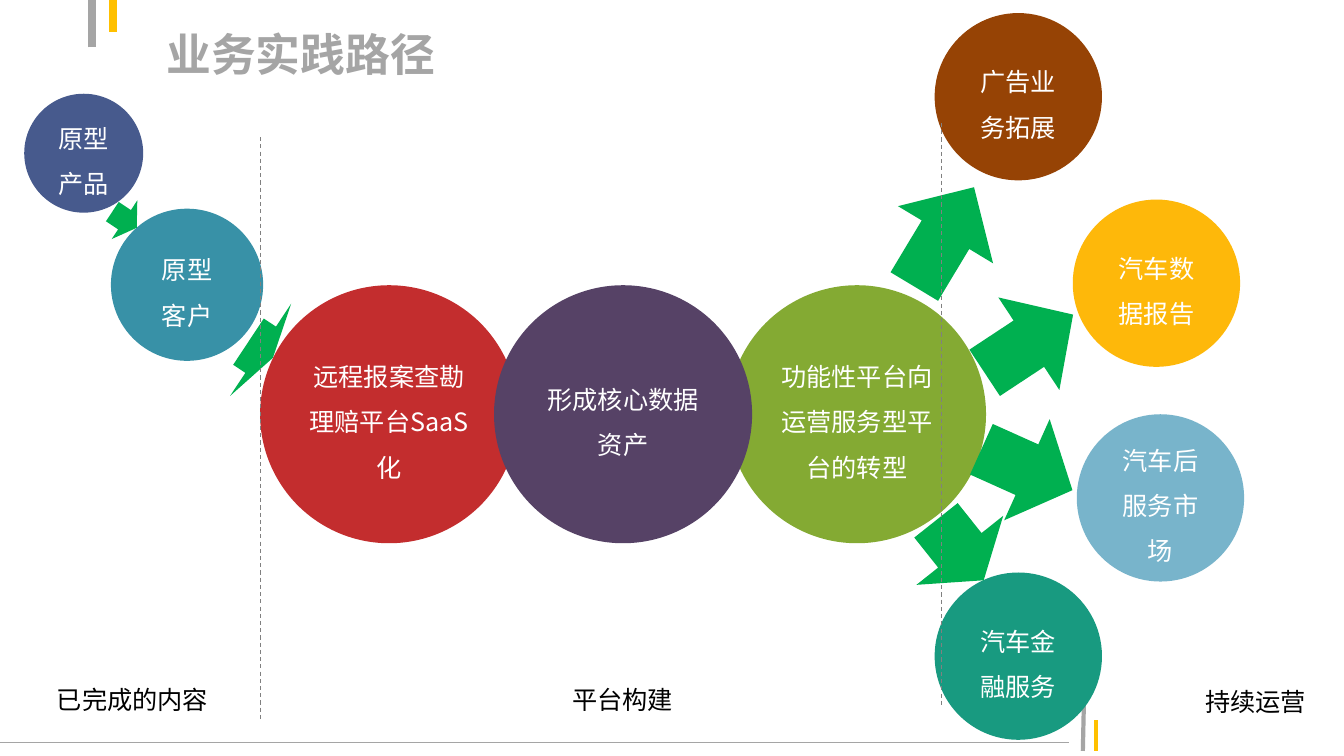
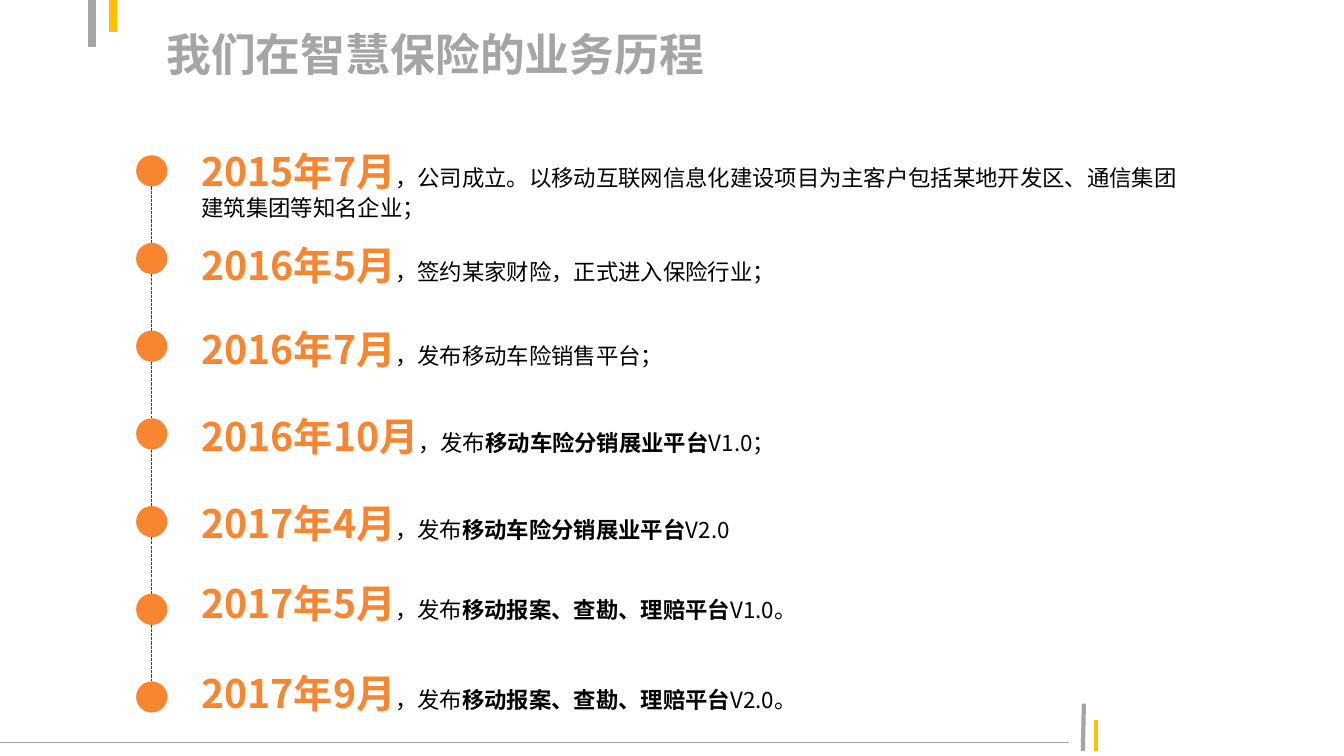
"""Builds two slides on a business path and its history."""
from pptx import Presentation
from pptx.dml.color import RGBColor
from pptx.enum.dml import MSO_LINE
from pptx.enum.shapes import MSO_CONNECTOR, MSO_SHAPE
from pptx.enum.text import MSO_ANCHOR, MSO_AUTO_SIZE, PP_ALIGN
from pptx.oxml.ns import qn
from pptx.util import Inches, Pt
from lxml.etree import SubElement

FONT = "Noto Sans CJK SC"
GREY, GOLD, WHITE, BLACK = "A5A5A5", "FFC000", "FFFFFF", "000000"
GREEN, ORANGE, DIVIDER, LINK = "00B050", "F88631", "808080", "404040"

FRAME_LINES = [
    ((0, 7.37), (10.6, 7.37), GREY, 0.75),
    ((10.74, 7.45), (10.75, 6.98), GREY, 3),
    ((10.87, 7.45), (10.87, 7.14), GOLD, 3),
    ((0.91, 0.47), (0.91, 0), GREY, 6),
    ((1.12, 0), (1.12, 0.32), GOLD, 6),
]

PATH_TITLE = "业务实践路径"
STAGE, OUTCOME = 2.56, 1.66
CIRCLES = [
    (["原型产品"], 0.24, 0.93, 1.18, "475A8D"),
    (["原型", "客户"], 1.1, 2.07, 1.51, "3891A7"),
    (["远程报案查勘理赔平台SaaS化"], 2.58, 2.83, STAGE, "C32D2E"),
    (["功能性平台向运营服务型平台的转型"], 7.22, 2.83, STAGE, "84AA33"),
    (["广告业务拓展"], 9.27, 0.13, OUTCOME, "964305"),
    (["汽车数据报告"], 10.64, 1.98, OUTCOME, "FEB80A"),
    (["汽车后服务市场"], 10.68, 4.11, OUTCOME, "78B4CB"),
    (["汽车金融服务"], 9.27, 5.68, OUTCOME, "189A80"),
    (["形成核心数据资产"], 4.9, 2.83, STAGE, "564266"),
]
ARROWS = [
    (2.44, 2.92, 0.29, 1.1, 33.5),
    (1.09, 1.95, 0.29, 0.46, 33.5),
    (8.79, 1.8, 1.15, 1.1, 301),
    (9.68, 2.86, 1.05, 1.1, 326.6),
    (9.69, 4.11, 0.99, 1.1, 24.2),
    (9.14, 4.91, 0.76, 1.1, 51.5),
]
DIVIDERS = [(2.58, 1.36), (9.34, 1.22)]
DIVIDER_LENGTH = 5.78
PHASES = [("已完成的内容", 0.45, 6.59), ("平台构建", 5.31, 6.59), ("持续运营", 11.59, 6.61)]

HISTORY_TITLE = "我们在智慧保险的业务历程"
EVENTS = [
    (1.41, 10, "2015年7月", "，公司成立。以移动互联网信息化建设项目为主客户包括某地开发区、通信集团建筑集团等知名企业；", "", ""),
    (2.34, 6.01, "2016年5月", "，签约某家财险，正式进入保险行业；", "", ""),
    (3.18, 5.04, "2016年7月", "，发布移动车险销售平台；", "", ""),
    (4.04, 5.94, "2016年10月", "，发布", "移动车险分销展业平台", "V1.0；"),
    (4.9, 5.58, "2017年4月", "，发布", "移动车险分销展业平台", "V2.0"),
    (5.7, 6.26, "2017年5月", "，发布", "移动报案、查勘、理赔平台", "V1.0。"),
    (6.59, 6.26, "2017年9月", "，发布", "移动报案、查勘、理赔平台", "V2.0。"),
]
DOT, DOT_LEFT, DOT_TOP, DOT_PITCH = 0.31, 1.35, 1.54, 0.87


def colour(value):
    return RGBColor.from_string(value)


def add_span(para, text, size, value, bold=False):
    span = para.add_run()
    span.text = text
    font = span.font
    font.name, font.size, font.bold = FONT, Pt(size), bold
    font.color.rgb = colour(value)
    SubElement(font._element, qn("a:ea")).set("typeface", FONT)


def add_centred(frame, texts, value):
    frame.word_wrap = True
    for index, text in enumerate(texts):
        para = frame.add_paragraph() if index else frame.paragraphs[0]
        para.alignment, para.line_spacing = PP_ALIGN.CENTER, 1.5
        add_span(para, text, 18, value)


def add_line(page, start, end, value, width, dash=None):
    line = page.shapes.add_connector(
        MSO_CONNECTOR.STRAIGHT, *(Inches(number) for number in (*start, *end)))
    line.line.color.rgb, line.line.width = colour(value), Pt(width)
    if dash is not None:
        line.line.dash_style = dash
    SubElement(line.element.spPr, qn("a:effectLst"))
    return line


def add_filled(page, kind, left, top, width, height, value):
    shape = page.shapes.add_shape(
        kind, Inches(left), Inches(top), Inches(width), Inches(height))
    shape.shadow.inherit = False
    shape.fill.solid()
    shape.fill.fore_color.rgb = colour(value)
    shape.line.fill.background()
    return shape


def add_text_frame(page, left, top, width, height):
    box = page.shapes.add_textbox(
        Inches(left), Inches(top), Inches(width), Inches(height))
    box.text_frame.word_wrap = True
    box.text_frame.auto_size = MSO_AUTO_SIZE.SHAPE_TO_FIT_TEXT
    return box.text_frame


def add_page(deck, text):
    page = deck.slides.add_slide(deck.slide_layouts[5])
    title = page.shapes.title
    title.left, title.top = Inches(1.55), Inches(0.13)
    title.width, title.height = Inches(10.79), Inches(0.8)
    frame = title.text_frame
    frame.auto_size = MSO_AUTO_SIZE.NONE
    frame.vertical_anchor = MSO_ANCHOR.MIDDLE
    frame.paragraphs[0].alignment = PP_ALIGN.LEFT
    add_span(frame.paragraphs[0], text, 32, GREY, True)
    return page


def move_frame_to_layout(page):
    tree = page.slide_layout.element.cSld.spTree
    for entry in FRAME_LINES:
        tree.append(add_line(page, *entry).element)


def build_path(page):
    for texts, left, top, size, value in CIRCLES:
        circle = add_filled(page, MSO_SHAPE.OVAL, left, top, size, size, value)
        circle.text_frame.vertical_anchor = MSO_ANCHOR.MIDDLE
        add_centred(circle.text_frame, texts, WHITE)
    for *place, angle in ARROWS:
        add_filled(page, MSO_SHAPE.RIGHT_ARROW, *place, GREEN).rotation = angle
    for left, top in DIVIDERS:
        add_line(page, (left, top), (left, top + DIVIDER_LENGTH),
                 DIVIDER, 0.75, MSO_LINE.DASH)
    for text, left, top in PHASES:
        add_centred(add_text_frame(page, left, top, 1.73, 0.5), [text], BLACK)


def build_history(page):
    middle = DOT_LEFT + DOT / 2
    for index, (text_top, width, date, lead, product, ending) in enumerate(EVENTS):
        top = DOT_TOP + index * DOT_PITCH
        add_filled(page, MSO_SHAPE.OVAL, DOT_LEFT, top, DOT, DOT, ORANGE)
        if index < len(EVENTS) - 1:
            add_line(page, (middle, top + DOT), (middle, top + DOT_PITCH),
                     LINK, 0.75, MSO_LINE.SQUARE_DOT)
        para = add_text_frame(page, 1.9, text_top, width, 0.57).paragraphs[0]
        add_span(para, date, 28, ORANGE, True)
        for text, bold in ((lead, False), (product, True), (ending, False)):
            if text:
                add_span(para, text, 16, BLACK, bold)


def main():
    deck = Presentation()
    deck.slide_width, deck.slide_height = Inches(13.33), Inches(7.5)
    path_page = add_page(deck, PATH_TITLE)
    move_frame_to_layout(path_page)
    build_path(path_page)
    build_history(add_page(deck, HISTORY_TITLE))
    deck.save("out.pptx")


if __name__ == "__main__":
    main()
